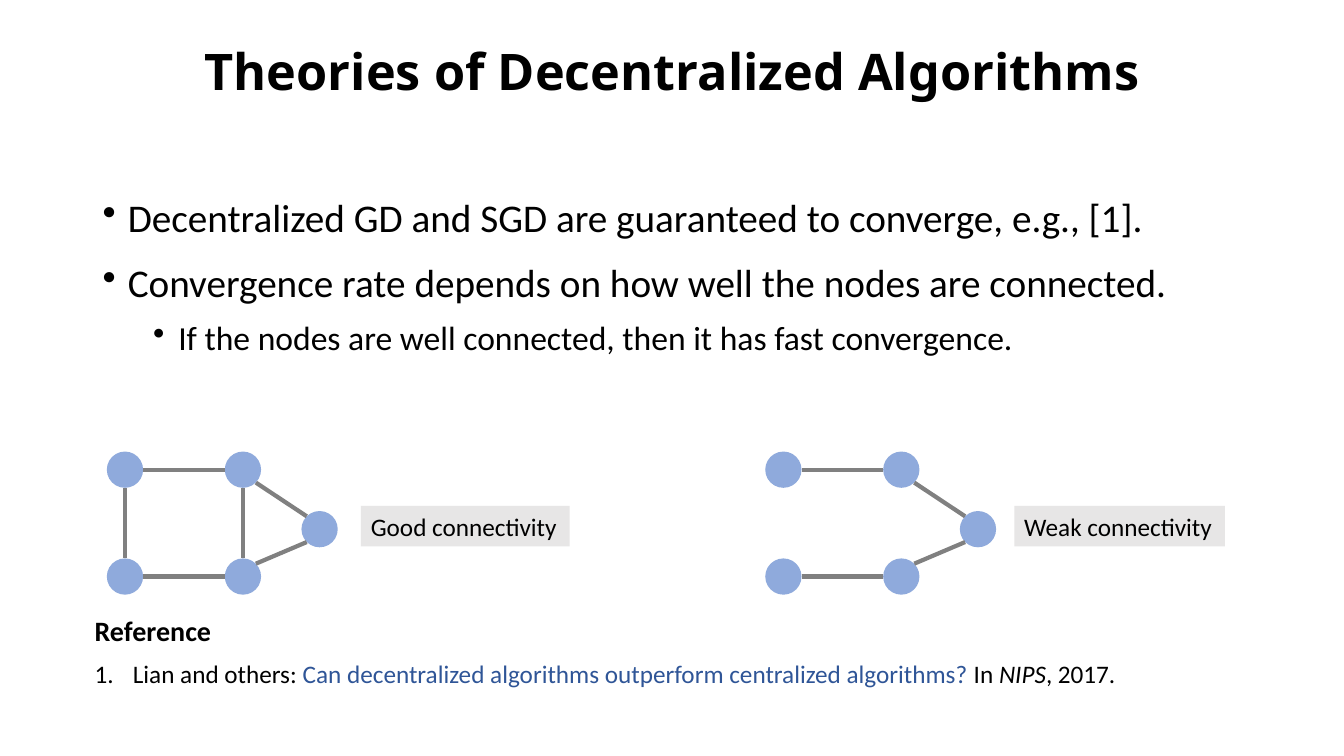
"""Build the slide on theories of decentralized algorithms."""
import pptx
import pptx.dml.color
import pptx.enum.shapes
import pptx.enum.text
import pptx.oxml.ns
import pptx.util
from lxml import etree

RGB = pptx.dml.color.RGBColor
BLACK = RGB(0x00, 0x00, 0x00)
BLUE = RGB(0x2F, 0x55, 0x97)
NODE = RGB(0x8F, 0xAA, 0xDC)
EDGE = RGB(0x80, 0x80, 0x80)
GREY = RGB(0xE7, 0xE6, 0xE6)
Inches, Pt = pptx.util.Inches, pptx.util.Pt
SHAPE = pptx.enum.shapes.MSO_SHAPE
ALIGN = pptx.enum.text.PP_ALIGN

WIDE, HIGH = 13.33, 7.5
TITLE = "Theories of Decentralized Algorithms"
POINTS = [
    (0, "Decentralized GD and SGD are guaranteed to converge, e.g., [1]."),
    (0, "Convergence rate depends on how well the nodes are connected."),
    (1, "If the nodes are well connected, then it has fast convergence."),
]
LEVELS = [(28, 0.25, 10), (24, 0.75, 5)]
CITE = [
    ("Lian and others: ", BLACK, False),
    ("Can decentralized algorithms outperform centralized algorithms? ", BLUE, False),
    ("In ", BLACK, False),
    ("NIPS", BLACK, True),
    (", 2017.", BLACK, False),
]
SIZE = 0.36
NODES = {"a": (0, 0), "b": (1.17, 0), "c": (0, 1.06), "d": (1.17, 1.06), "e": (1.93, 0.59)}
WEAK = ["ab", "cd", "be", "de"]
GRAPHS = [
    (1.06, WEAK + ["ac", "bd"], "Good connectivity", 3.58, 2.07),
    (7.59, WEAK, "Weak connectivity", 10.06, 2.09),
]
ROW = 4.48


def style(para, size, bold=False, before=0, after=0):
    font = para.font
    font.name, font.size, font.bold = "Calibri", Pt(size), bold
    font.color.rgb = BLACK
    para.line_spacing = 0.9
    para.space_before, para.space_after = Pt(before), Pt(after)


def bullet(para, left, hang, tag, **kind):
    props = para._p.get_or_add_pPr()
    props.set("marL", str(Inches(left)))
    props.set("indent", str(-Inches(hang)))
    mark = etree.Element(pptx.oxml.ns.qn(tag), **kind)
    props.insert_element_before(mark, "a:tabLst", "a:defRPr", "a:extLst")


def textbox(slide, *place):
    frame = slide.shapes.add_textbox(*map(Inches, place)).text_frame
    frame.word_wrap = True
    return frame


def block(slide, kind, color, *place):
    shape = slide.shapes.add_shape(kind, *map(Inches, place))
    shape.shadow.inherit = False
    shape.fill.solid()
    shape.fill.fore_color.rgb = color
    shape.line.fill.background()
    return shape


def sign(value):
    return (value > 0) - (value < 0)


def edge(slide, start, end):
    dx, dy = end[0] - start[0], end[1] - start[1]
    reach = SIZE / 2 * (0.71 if dx and dy else 1)
    sx, sy = sign(dx) * reach, sign(dy) * reach
    ends = start[0] + sx, start[1] + sy, end[0] - sx, end[1] - sy
    line = slide.shapes.add_connector(
        pptx.enum.shapes.MSO_CONNECTOR.STRAIGHT, *map(Inches, ends))
    line.line.color.rgb, line.line.width = EDGE, Pt(3)
    etree.SubElement(line._element.spPr, pptx.oxml.ns.qn("a:effectLst"))


def graph(slide, left, edges, name, side, width):
    spots = {key: (left + x, ROW + y) for key, (x, y) in NODES.items()}
    mids = {key: (x + SIZE / 2, y + SIZE / 2) for key, (x, y) in spots.items()}
    for x, y in spots.values():
        block(slide, SHAPE.OVAL, NODE, x, y, SIZE, SIZE)
    for start, end in edges:
        edge(slide, mids[start], mids[end])
    label = block(slide, SHAPE.RECTANGLE, GREY, side, 5.02, width, 0.4)
    frame = label.text_frame
    frame.word_wrap = False
    frame.auto_size = pptx.enum.text.MSO_AUTO_SIZE.SHAPE_TO_FIT_TEXT
    para = frame.paragraphs[0]
    para.text = name
    style(para, 18)
    para.line_spacing = 1.0
    para.alignment = ALIGN.LEFT


def main():
    deck = pptx.Presentation()
    deck.slide_width, deck.slide_height = Inches(WIDE), Inches(HIGH)
    slide = deck.slides.add_slide(deck.slide_layouts[6])

    frame = textbox(slide, 0.92, 1.92, 11.5, 2.92)
    for i, (level, text) in enumerate(POINTS):
        para = frame.add_paragraph() if i else frame.paragraphs[0]
        para.text, para.level = text, level
        size, left, before = LEVELS[level]
        style(para, size, before=before, after=6)
        bullet(para, left, 0.25, "a:buChar", char="•")

    frame = textbox(slide, 0, 0.01, WIDE, 1.45)
    frame.vertical_anchor = pptx.enum.text.MSO_ANCHOR.MIDDLE
    para = frame.paragraphs[0]
    para.text = TITLE
    style(para, 36, bold=True)
    para.font.name = "Noto Sans"
    para.alignment = ALIGN.CENTER

    frame = textbox(slide, 0.84, 6.08, 11.83, 0.97)
    para = frame.paragraphs[0]
    para.text = "Reference"
    style(para, 20, bold=True, before=10)
    para = frame.add_paragraph()
    style(para, 18, before=10)
    bullet(para, 0.38, 0.38, "a:buAutoNum", type="arabicPeriod")
    for text, color, slant in CITE:
        run = para.add_run()
        run.text = text
        run.font.color.rgb, run.font.italic = color, slant

    for item in GRAPHS:
        graph(slide, *item)
    deck.save("out.pptx")


if __name__ == "__main__":
    main()
